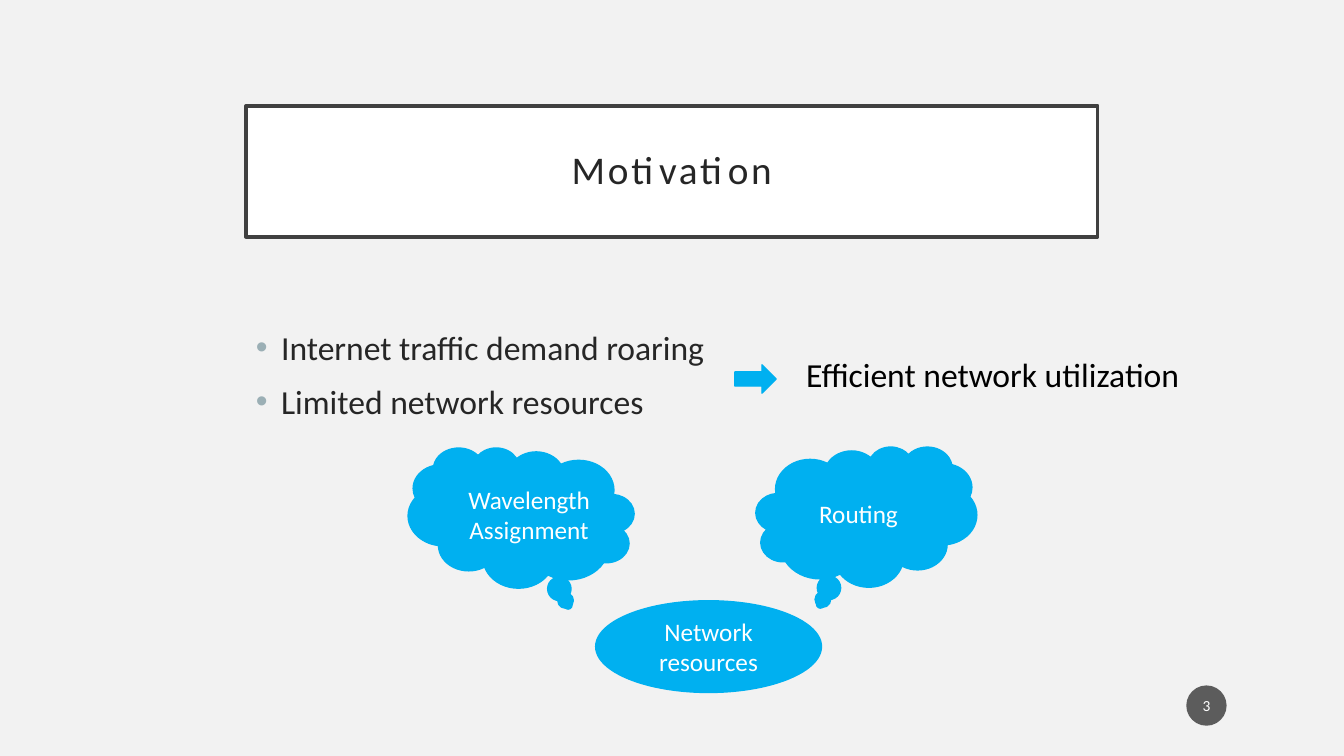
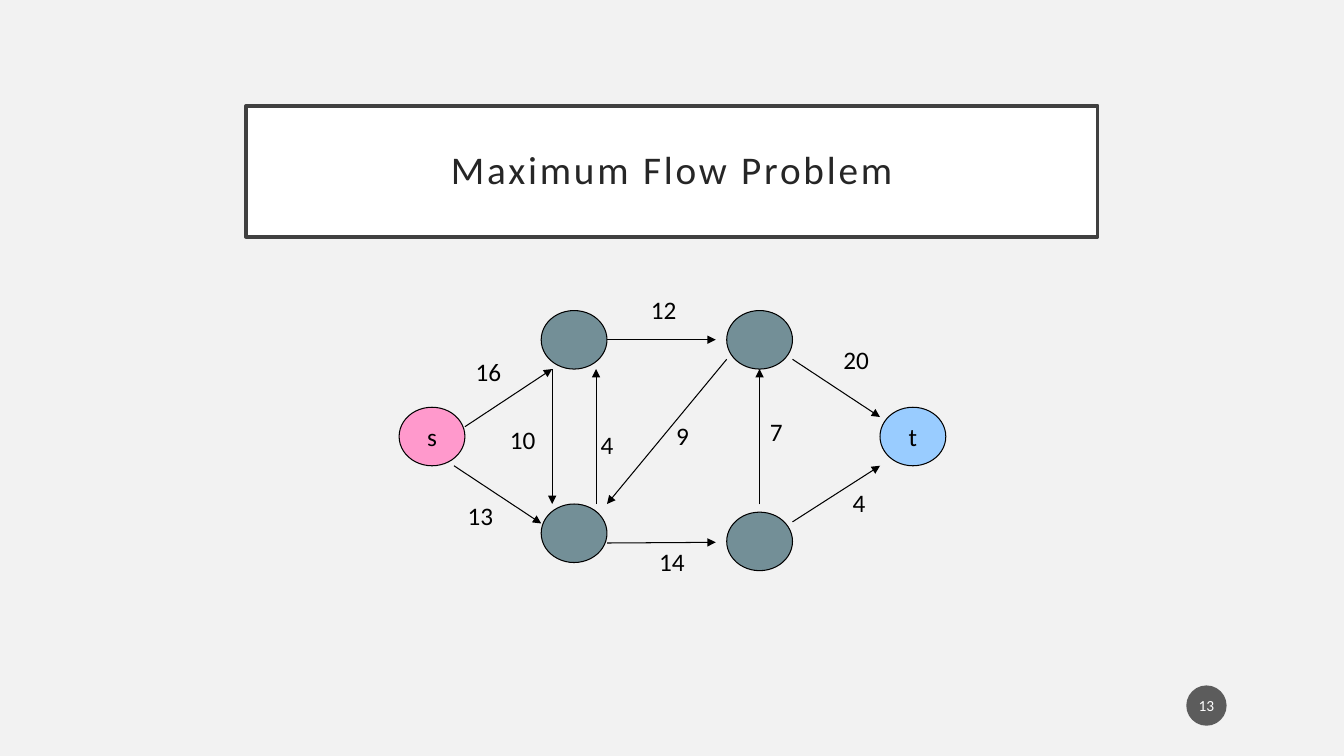
from lxml import etree
from pptx import Presentation
from pptx.dml import color
from pptx.enum import shapes, text
from pptx.oxml import ns
from pptx.util import Pt

COLORS = dict(
    background="F2F2F2", white="FFFFFF", black="000000", frame="404040",
    ink="262626", bullet="9BAFB5", accent="00B0F0", badge="1D1D1D",
    source="FF99CC", sink="99CCFF", inner="738F97",
)
FONT = "Calibri"
SHAPE = shapes.MSO_SHAPE
CENTER = text.PP_ALIGN.CENTER
FIT = text.MSO_AUTO_SIZE.SHAPE_TO_FIT_TEXT

MOTIVES = ["Internet traffic demand roaring", "Limited network resources"]
RESULT = "Efficient network utilization"
IDEAS = [
    ("Network resources", SHAPE.OVAL, (425.5, 429.1, 161.3, 65.5), False),
    ("Routing", SHAPE.CLOUD_CALLOUT, (540, 319, 157.7, 100.1), False),
    ("Wavelength Assignment", SHAPE.CLOUD_CALLOUT, (291.6, 319.7, 161.3, 100.1), True),
    ("", SHAPE.RIGHT_ARROW, (524.9, 260.6, 29.5, 20.2), False),
]

NODE_WIDTH, NODE_HEIGHT = 47, 41.8
NODES = {
    "s": (285.1, 290.9, "source", "s"),
    "lower left": (386.6, 360, "inner", ""),
    "lower right": (519.1, 365.8, "inner", ""),
    "t": (628.6, 290.9, "sink", "t"),
    "upper right": (519.1, 221.8, "inner", ""),
    "upper left": (386.6, 221.8, "inner", ""),
}
SIXTHS = 6
EDGES = [
    ("s", (6, 2), "upper left", (1, 6), "16", (332.6, 251.3)),
    ("s", (5, 6), "lower left", (0, 2), "13", (326.9, 353.5)),
    ("upper left", (1, 6), "lower left", (1, 0), "10", (357.1, 299.5)),
    ("lower left", (5, 0), "upper left", (5, 6), "4", (421.9, 303.1)),
    ("upper left", (6, 3), "upper right", (-1, 3), "12", (457.9, 206.6)),
    ("lower left", (6, 4), "lower right", (-1, 3.1), "14", (463.7, 386.6)),
    ("upper right", (6, 5), "t", (0, 1), "20", (595.4, 242.6)),
    ("lower right", (6, 1), "t", (0, 6), "4", (601.9, 344.9)),
    ("lower right", (3, -0.8), "upper right", (3, 6), "7", (542.9, 293.8)),
    ("upper right", (0, 5), "lower left", (6, 0), "9", (475.9, 296.6)),
]
LABEL_HEIGHT = 36
LABEL_WIDTHS = {1: 26.6, 2: 38.2}


def rgb(name):
    return color.RGBColor.from_string(COLORS[name])


def apply(target, values):
    for name, value in values.items():
        setattr(target, name, value)


def add_xml(parent, tag, **attributes):
    return etree.SubElement(parent, ns.qn(tag), attributes)


def write(shape, lines, size, ink, frame=None, paragraph_format=None):
    apply(shape.text_frame, {"word_wrap": True, **(frame or {})})
    shape.text_frame.text = "\n".join(lines)
    for paragraph in shape.text_frame.paragraphs:
        apply(paragraph, paragraph_format or {})
        for run in paragraph.runs:
            apply(run.font, {"name": FONT, "size": Pt(size)})
            run.font.color.rgb = rgb(ink)


def add_box(parent, kind, box, fill, line=None, line_width=1):
    shape = parent.shapes.add_shape(kind, *map(Pt, box))
    shape.shadow.inherit = False
    shape.fill.solid()
    shape.fill.fore_color.rgb = rgb(fill)
    if line:
        shape.line.color.rgb = rgb(line)
        shape.line.width = Pt(line_width)
    else:
        shape.line.fill.background()
    return shape


def write_centered(shape, content, size, ink, **frame):
    write(shape, [content], size, ink,
          {"vertical_anchor": text.MSO_ANCHOR.MIDDLE, **frame}, {"alignment": CENTER})


def add_text(parent, box, lines, size, ink, frame=None, paragraph_format=None):
    shape = parent.shapes.add_textbox(*map(Pt, box))
    write(shape, lines, size, ink, frame, paragraph_format)
    return shape


def add_arrow(parent, start, end):
    arrow = parent.shapes.add_connector(
        shapes.MSO_CONNECTOR.STRAIGHT, *map(Pt, (*start, *end)))
    arrow.line.color.rgb = rgb("black")
    arrow.line.width = Pt(0.75)
    add_xml(arrow.line._get_or_add_ln(), "a:tailEnd", type="triangle")
    add_xml(arrow._element.spPr, "a:effectLst")


def add_slide(title, number):
    slide = presentation.slides.add_slide(presentation.slide_layouts[6])
    banner = add_box(slide, SHAPE.RECTANGLE, (175.7, 75.6, 608.4, 93.6), "white", "frame", 2.5)
    sides = ("left", "top", "right", "bottom")
    write_centered(banner, title, 28, "ink", **{f"margin_{side}": Pt(14.4) for side in sides})
    heading = banner.text_frame.paragraphs[0]
    heading.line_spacing = 0.9
    heading.runs[0].font._element.set("spc", "200")
    badge = add_box(slide, SHAPE.OVAL, (847.4, 489.6, 28.8, 28.8), "badge")
    add_xml(badge._element.spPr.find(".//" + ns.qn("a:srgbClr")), "a:alpha", val="70000")
    write_centered(badge, str(number), 11, "white", margin_left=Pt(1.4), margin_right=Pt(1.4))
    return slide


def build_motivation():
    slide = add_slide("Motivation", 3)
    motives = add_text(slide, (175.7, 229.8, 608.4, 84), MOTIVES, 24, "ink",
                       paragraph_format={"space_after": Pt(10)})
    for paragraph in motives.text_frame.paragraphs:
        properties = paragraph._p.get_or_add_pPr()
        properties.set("marL", str(Pt(18)))
        properties.set("indent", str(-Pt(18)))
        add_xml(add_xml(properties, "a:buClr"), "a:srgbClr", val=COLORS["bullet"])
        add_xml(properties, "a:buFont", typeface="Arial")
        add_xml(properties, "a:buChar", char="•")
    for content, kind, box, flipped in IDEAS:
        idea = add_box(slide, kind, box, "accent", "accent")
        if flipped:
            idea._element.spPr.xfrm.set("flipH", "1")
        if content:
            write_centered(idea, content, 18, "white")
    add_text(slide, (568.8, 249.1, 292.3, 65.5), [RESULT], 24, "black", {"auto_size": FIT})


def node_point(name, offset):
    left, top = NODES[name][:2]
    return left + NODE_WIDTH * offset[0] / SIXTHS, top + NODE_HEIGHT * offset[1] / SIXTHS


def build_flow():
    network = add_slide("Maximum Flow Problem", 13).shapes.add_group_shape()
    for left, top, fill, name in NODES.values():
        node = add_box(network, SHAPE.OVAL, (left, top, NODE_WIDTH, NODE_HEIGHT),
                       fill, "black", 0.75)
        if name:
            write_centered(node, name, 18, "black", word_wrap=False)
    for origin, start, target, end, capacity, corner in EDGES:
        add_arrow(network, node_point(origin, start), node_point(target, end))
        box = (*corner, LABEL_WIDTHS[len(capacity)], LABEL_HEIGHT)
        add_text(network, box, [capacity], 18, "black", {"word_wrap": False, "auto_size": FIT})


presentation = Presentation()
apply(presentation, {"slide_width": Pt(960), "slide_height": Pt(540)})
backdrop = presentation.slide_master.background.fill
backdrop.solid()
backdrop.fore_color.rgb = rgb("background")
build_motivation()
build_flow()
presentation.save("out.pptx")
